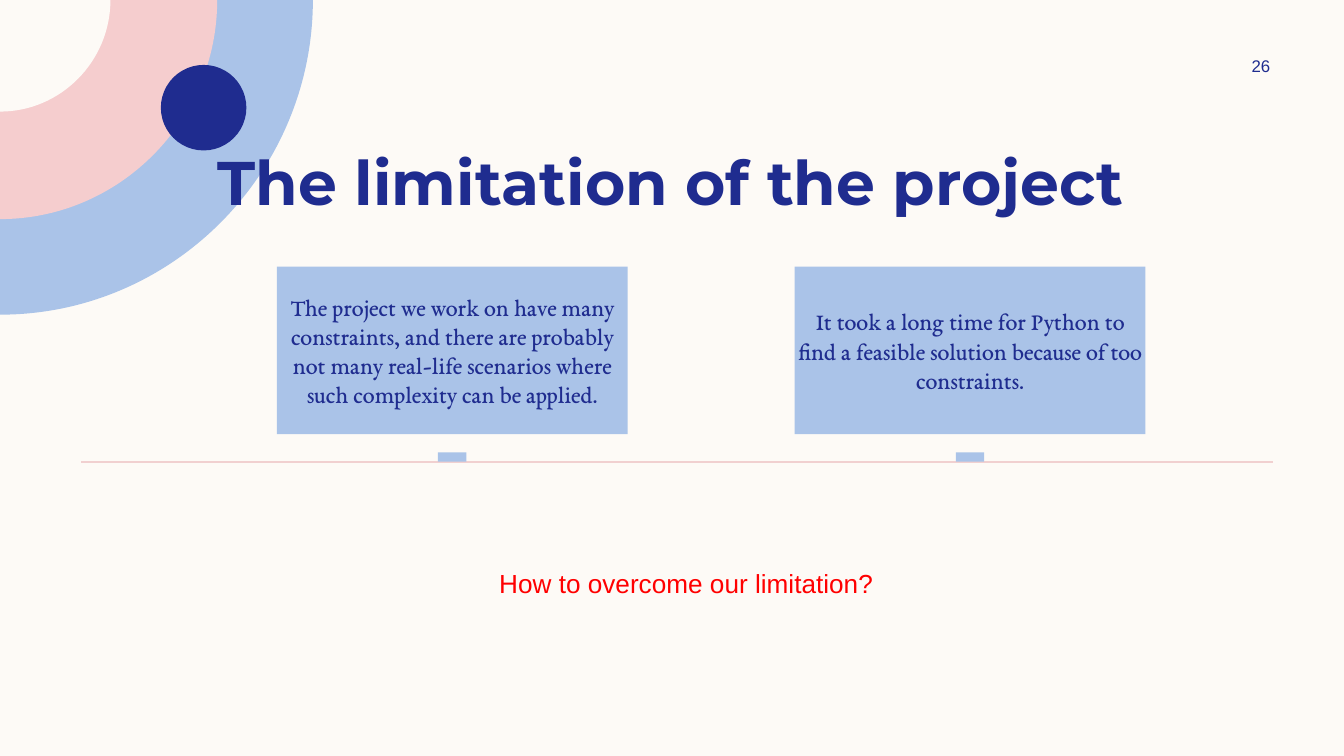
from lxml.etree import SubElement
from pptx import Presentation
from pptx.dml.color import RGBColor
from pptx.enum.shapes import MSO_CONNECTOR, MSO_SHAPE
from pptx.enum.text import MSO_ANCHOR, PP_ALIGN
from pptx.oxml.ns import qn
from pptx.util import Pt

CREAM, BLUE, PINK, NAVY = "FDFAF6", "AAC3E8", "F5CDCE", "1F2C8F"
LINE_PINK, RED = "F1D0D0", "FF0000"

TITLE = "The limitation of the project"
PAGE_NUMBER = "26"
QUESTION = "How to overcome our limitation?"
LIMITATIONS = [
    "The project we work on have many constraints, and there are probably "
    "not many real-life scenarios where such complexity can be applied.",
    "It took a long time for Python to find a feasible solution because of "
    "too constraints.",
]
# width, height, colour
QUARTER_DISCS = [(167.6, 168.6, BLUE), (116.4, 117.4, PINK), (59.2, 59.8, CREAM)]
ARC_HANDLE = 0.55  # Bezier handle of a quarter circle, as a share of its radius

CARD_LEFT, CARD_STEP, CARD_TOP = 148.3, 277.4, 142.8
CARD_WIDTH, CARD_HEIGHT = 187.9, 89.8
MARKER_WIDTH, MARKER_HEIGHT = 15.2, 5
TIMELINE_Y = 247.4


def color(value):
    return RGBColor.from_string(value)


def paint(shape, fill):
    shape.shadow.inherit = False
    shape.fill.solid()
    shape.fill.fore_color.rgb = color(fill)
    shape.line.fill.background()


def add_block(slide, kind, left, top, width, height, fill):
    shape = slide.shapes.add_shape(kind, Pt(left), Pt(top), Pt(width), Pt(height))
    paint(shape, fill)
    return shape


def add_quarter_disc(slide, width, height, fill):
    """Draw a quarter disc centred on the slide's top left corner."""
    width, height = Pt(width), Pt(height)
    builder = slide.shapes.build_freeform(0, 0)
    builder.add_line_segments([(width, 0), (0, height)], close=True)
    shape = builder.convert_to_shape()
    paint(shape, fill)

    # Bend the slanted side into an arc.
    side = shape._element.findall(".//" + qn("a:lnTo"))[1]
    curve = SubElement(side.getparent(), qn("a:cubicBezTo"))
    for x, y in [(width, height * ARC_HANDLE), (width * ARC_HANDLE, height), (0, height)]:
        SubElement(curve, qn("a:pt"), x=str(round(x)), y=str(round(y)))
    side.getparent().replace(side, curve)


def write(shape, text, font, size, ink, margins=(5, 3), anchor=MSO_ANCHOR.TOP,
          bold=False):
    frame = shape.text_frame
    frame.word_wrap = True
    frame.vertical_anchor = anchor
    frame.margin_left = frame.margin_right = Pt(margins[0])
    frame.margin_top = frame.margin_bottom = Pt(margins[1])
    paragraph = frame.paragraphs[0]
    paragraph.text = text
    paragraph.alignment = PP_ALIGN.CENTER
    paragraph.font.name = font
    paragraph.font.size = Pt(size)
    paragraph.font.bold = bold
    paragraph.font.color.rgb = color(ink)


def add_text(slide, left, top, width, height, *content, **style):
    box = slide.shapes.add_textbox(Pt(left), Pt(top), Pt(width), Pt(height))
    write(box, *content, **style)


def add_timeline(slide):
    line = slide.shapes.add_connector(
        MSO_CONNECTOR.STRAIGHT, Pt(43.6), Pt(TIMELINE_Y), Pt(682), Pt(TIMELINE_Y))
    line.line.color.rgb = color(LINE_PINK)
    line.line.width = Pt(1)
    SubElement(line._element.spPr, qn("a:effectLst"))


def main():
    presentation = Presentation()
    presentation.slide_width, presentation.slide_height = Pt(720), Pt(405)
    slide = presentation.slides.add_slide(presentation.slide_layouts[6])
    slide.background.fill.solid()
    slide.background.fill.fore_color.rgb = color(CREAM)

    for width, height, fill in QUARTER_DISCS:
        add_quarter_disc(slide, width, height, fill)
    add_block(slide, MSO_SHAPE.OVAL, 86.2, 34.8, 45.8, 45.8, NAVY)
    add_timeline(slide)

    add_text(slide, 78.1, 74.2, 562.3, 45.4, TITLE, "Montserrat", 33, NAVY, bold=True)
    add_text(slide, 646.3, 27, 58.3, 16.6, PAGE_NUMBER, "Arial", 9, NAVY,
             anchor=MSO_ANCHOR.MIDDLE)

    for index, text in enumerate(LIMITATIONS):
        left = CARD_LEFT + index * CARD_STEP
        card = add_block(slide, MSO_SHAPE.RECTANGLE, left, CARD_TOP,
                         CARD_WIDTH, CARD_HEIGHT, BLUE)
        write(card, text, "EB Garamond", 13, NAVY, margins=(0, 0),
              anchor=MSO_ANCHOR.MIDDLE)
        add_block(slide, MSO_SHAPE.RECTANGLE, left + (CARD_WIDTH - MARKER_WIDTH) / 2,
                  TIMELINE_Y - MARKER_HEIGHT, MARKER_WIDTH, MARKER_HEIGHT, BLUE)

    add_text(slide, 144.5, 300.2, 446.4, 40.3, QUESTION, "Arial", 14, RED,
             margins=(7.2, 3.6))
    presentation.save("out.pptx")


if __name__ == "__main__":
    main()
